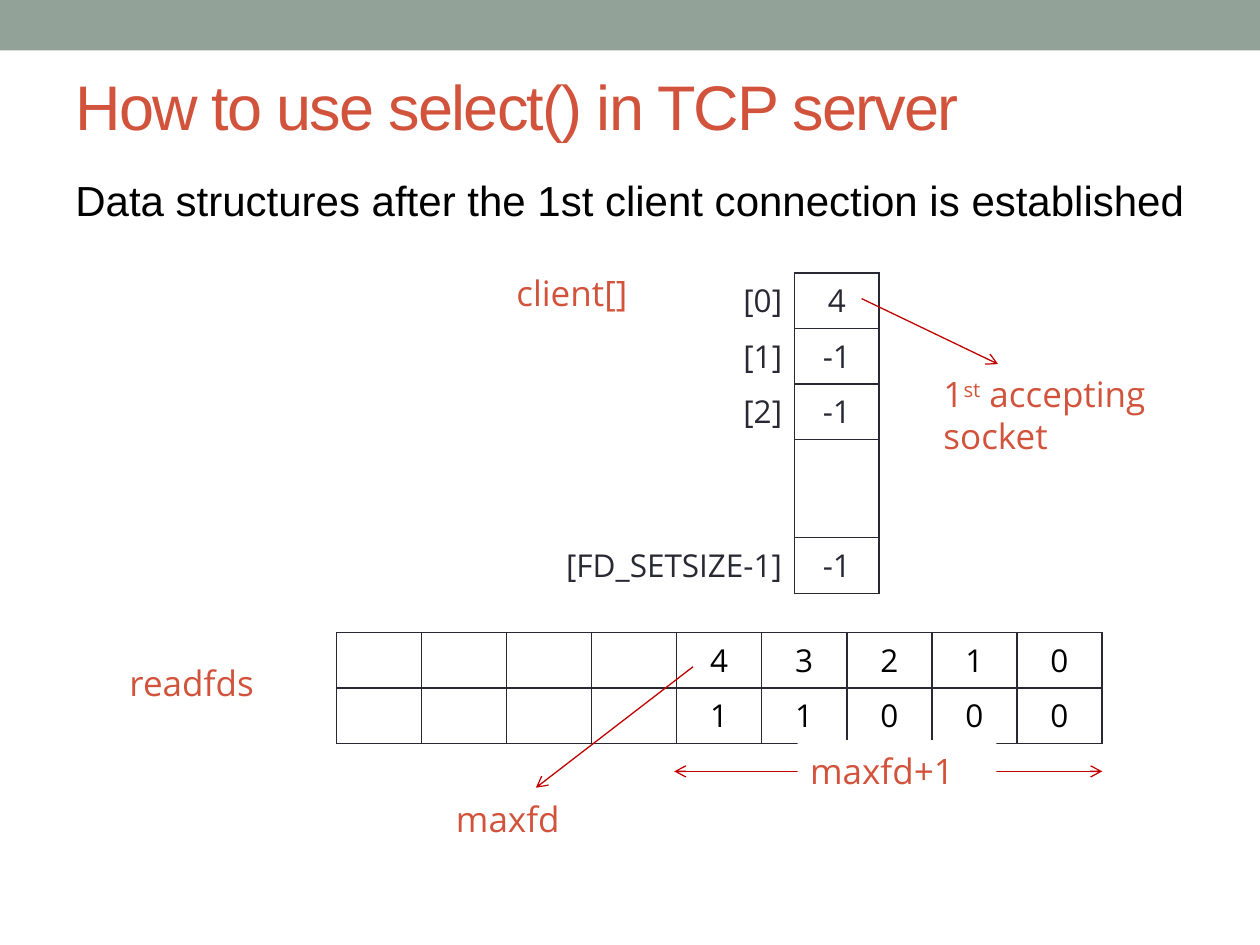
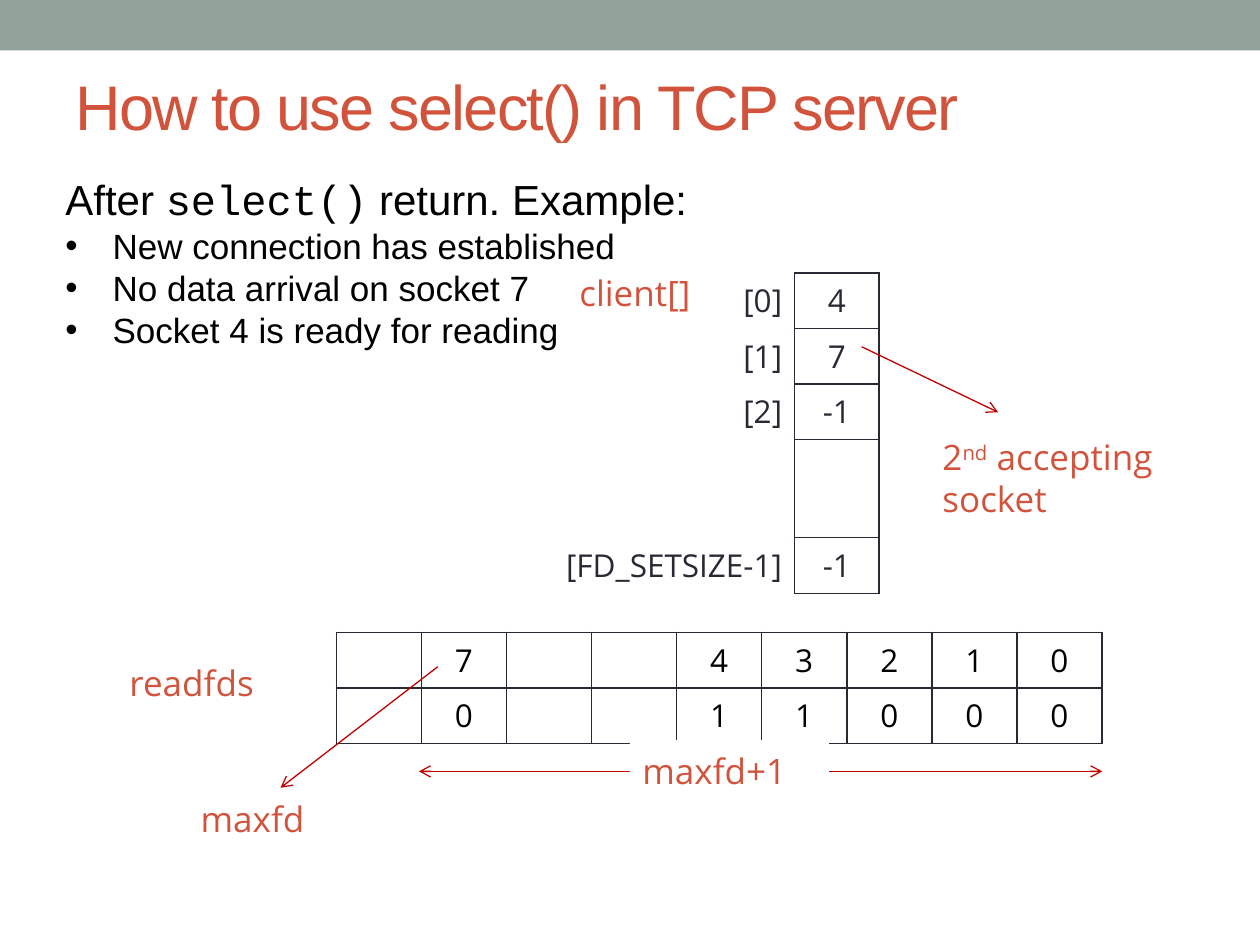
from pptx import Presentation
from pptx import util as u
from pptx.dml.color import RGBColor
from pptx.enum import shapes, text
from pptx.oxml import ns
from lxml import etree

# Shared style
RED, GREY, INK, BLACK, WHITE, ARROW = "D2533C", "93A299", "292934", "000000", "FFFFFF", "C00000"
SANS, HEAD, MONO = "Open Sans", "Arial", "Courier New"
TITLE = "How to use select() in TCP server"
MIDDLE, BOTTOM, TOP = text.MSO_ANCHOR.MIDDLE, text.MSO_ANCHOR.BOTTOM, text.MSO_ANCHOR.TOP
LEFT, CENTER, RIGHT = text.PP_ALIGN.LEFT, text.PP_ALIGN.CENTER, text.PP_ALIGN.RIGHT

# Content; places are in centimetres
INDEXES = ["[0]", "[1]", "[2]", "", "[FD_SETSIZE-1]"]
SLIDES = [
    {
        "intro": ["Data structures after the 1st client connection is established"],
        "bullets": [],
        "intro_at": (1.27, 3.18, 23.06, 1.47), "intro_anchor": BOTTOM,
        "client": ["4", "-1", "-1", "", "-1"],
        "client_label_x": 10.16,
        "ordinal": ("1", "st"), "ordinal_at": (18.77, 6.99), "pointer_y": 6.02,
        "fds": [["", "", "", "", "4", "3", "2", "1", "0"],
                ["", "", "", "", "1", "1", "0", "0", "0"]],
        "max_column": 4, "span_label_x": 16.08,
    },
    {
        "intro": ["After ", "select()", " return. Example:"],
        "bullets": ["New connection has established",
                    "No data arrival on socket 7",
                    "Socket 4 is ready for reading"],
        "intro_at": (1.07, 3.38, 23.22, 7.62), "intro_anchor": TOP,
        "client": ["4", "7", "-1", "", "-1"],
        "client_label_x": 11.43,
        "ordinal": ("2", "nd"), "ordinal_at": (18.75, 8.26), "pointer_y": 6.99,
        "fds": [["", "7", "", "", "4", "3", "2", "1", "0"],
                ["", "0", "", "", "1", "1", "0", "0", "0"]],
        "max_column": 1, "span_label_x": 12.7,
    },
]

# Grid of the two tables
ROW = 1.12
CLIENT_X, CLIENT_Y = 10.1, 5.5
CLIENT_COLUMNS, CLIENT_ROWS = [5.92, 1.7], [ROW, ROW, ROW, 1.98, ROW]
FDS_X, FDS_Y, FDS_WIDTH = 6.78, 12.75, 15.44
LABEL_HEIGHT = 1.17


def colour(value):
    return RGBColor.from_string(value)


def style(para, size, name, ink, align=LEFT):
    para.alignment = align
    para.font.size, para.font.name = u.Pt(size), name
    para.font.color.rgb = colour(ink)


def add_span(para, words):
    span = para.add_run()
    span.text = words
    return span


def prepare(box, anchor):
    box.text_frame.word_wrap = True
    box.text_frame.vertical_anchor = anchor
    return box.text_frame.paragraphs[0]


def add_box(page, at, anchor):
    box = page.shapes.add_textbox(*map(u.Cm, at))
    return box, prepare(box, anchor)


def add_rect(page, at, fill):
    rect = page.shapes.add_shape(shapes.MSO_SHAPE.RECTANGLE, *map(u.Cm, at))
    rect.shadow.inherit = False
    rect.fill.solid()
    rect.fill.fore_color.rgb = colour(fill)
    rect.line.fill.background()
    return rect


def add_label(page, words, x, y, width):
    _, para = add_box(page, (x, y, width, LABEL_HEIGHT), BOTTOM)
    style(para, 20, SANS, RED)
    add_span(para, words)


def add_arrow(page, start, end, both=False):
    line = page.shapes.add_connector(shapes.MSO_CONNECTOR.STRAIGHT, *map(u.Cm, start + end))
    line.line.color.rgb = colour(ARROW)
    line.line.width = u.Pt(0.75)
    properties = line._element.spPr
    outline = properties.find(ns.qn("a:ln"))
    for tag in ["a:headEnd", "a:tailEnd"] if both else ["a:tailEnd"]:
        etree.SubElement(outline, ns.qn(tag), type="arrow")
    etree.SubElement(properties, ns.qn("a:effectLst"))


def set_borders(cell, sides):
    for side in "LRTB":
        line = etree.SubElement(cell._tc.get_or_add_tcPr(), ns.qn("a:ln" + side), w="12700")
        if side in sides:
            fill = etree.SubElement(line, ns.qn("a:solidFill"))
            etree.SubElement(fill, ns.qn("a:srgbClr"), val=INK)
        else:
            etree.SubElement(line, ns.qn("a:noFill"))


def add_grid(page, x, y, widths, heights, rows, ink, fill=None, label_column=False):
    frame = page.shapes.add_table(len(heights), len(widths), u.Cm(x), u.Cm(y),
                                  u.Cm(sum(widths)), u.Cm(sum(heights)))
    table = frame.table
    table.first_row = table.horz_banding = False
    for column, width in zip(table.columns, widths):
        column.width = u.Cm(width)
    for r, (height, row) in enumerate(zip(heights, rows)):
        table.rows[r].height = u.Cm(height)
        for c, words in enumerate(row):
            cell = table.cell(r, c)
            is_label = label_column and c == 0
            set_borders(cell, "R" if is_label else "LRTB")
            if fill:
                cell.fill.solid()
                cell.fill.fore_color.rgb = colour(fill)
            else:
                cell.fill.background()
            cell.vertical_anchor = TOP
            para = cell.text_frame.paragraphs[0]
            style(para, 18, SANS, ink, RIGHT if is_label else CENTER)
            if words:
                add_span(para, words)


def add_frame(page):
    """Top band and title, the same on every slide."""
    add_rect(page, (0, 0, 25.4, 1.02), GREY)
    _, para = add_box(page, (1.27, 1.07, 22.86, 2.1), MIDDLE)
    style(para, 36, HEAD, RED)
    add_span(para, TITLE)._r.get_or_add_rPr().set("spc", "-100")


def add_intro(page, item):
    box, para = add_box(page, item["intro_at"], item["intro_anchor"])
    style(para, 24, HEAD, BLACK)
    for words in item["intro"]:
        span = add_span(para, words)
        if words == "select()":
            span.font.name = MONO
    for words in item["bullets"]:
        para = box.text_frame.add_paragraph()
        style(para, 20, HEAD, BLACK)
        add_span(para, words)
        properties = para._p.get_or_add_pPr()
        properties.set("marL", str(u.Cm(0.95)))
        properties.set("indent", str(-u.Cm(0.95)))
        properties.insert(0, etree.Element(ns.qn("a:buFont"), typeface=HEAD))
        properties.insert(1, etree.Element(ns.qn("a:buChar"), char="•"))


def add_client_table(page, item):
    add_grid(page, CLIENT_X, CLIENT_Y, CLIENT_COLUMNS, CLIENT_ROWS,
             list(zip(INDEXES, item["client"])), INK, WHITE, label_column=True)


def add_client_marks(page, item):
    add_label(page, "client[]", item["client_label_x"], 5.28, 3.38)
    # Pointer to the accepting socket
    y = item["pointer_y"]
    add_arrow(page, (17.37, y), (20.12, y + 1.32))
    _, para = add_box(page, item["ordinal_at"] + (6, 2.34), BOTTOM)
    style(para, 20, SANS, RED)
    number, suffix = item["ordinal"]
    add_span(para, number)
    add_span(para, suffix)._r.get_or_add_rPr().set("baseline", "30000")
    add_span(para, " accepting socket")


def add_fds(page, item):
    count = len(item["fds"][0])
    step = FDS_WIDTH / count
    add_grid(page, FDS_X, FDS_Y, [step] * count, [ROW] * 2, item["fds"], BLACK)
    add_label(page, "readfds", 2.36, 13.13, 3.99)
    # Marks that follow the column of the highest descriptor
    x = FDS_X + item["max_column"] * step
    add_arrow(page, (x + 0.33, 13.44), (x - 2.84, 15.88))
    add_label(page, "maxfd", x - 4.7, 15.88, 3.35)
    add_arrow(page, (x - 0.05, 15.55), (FDS_X + FDS_WIDTH, 15.55), both=True)
    rect = add_rect(page, (item["span_label_x"], 14.92, 4.01, LABEL_HEIGHT), WHITE)
    para = prepare(rect, BOTTOM)
    style(para, 20, SANS, RED)
    add_span(para, "maxfd+1")


deck = Presentation()
deck.slide_width, deck.slide_height = u.Cm(25.4), u.Cm(19.05)
for item in SLIDES:
    page = deck.slides.add_slide(deck.slide_layouts[6])
    add_frame(page)
    # The filled table lies behind the text that reaches over it
    add_client_table(page, item)
    add_intro(page, item)
    add_client_marks(page, item)
    add_fds(page, item)
deck.save("out.pptx")
